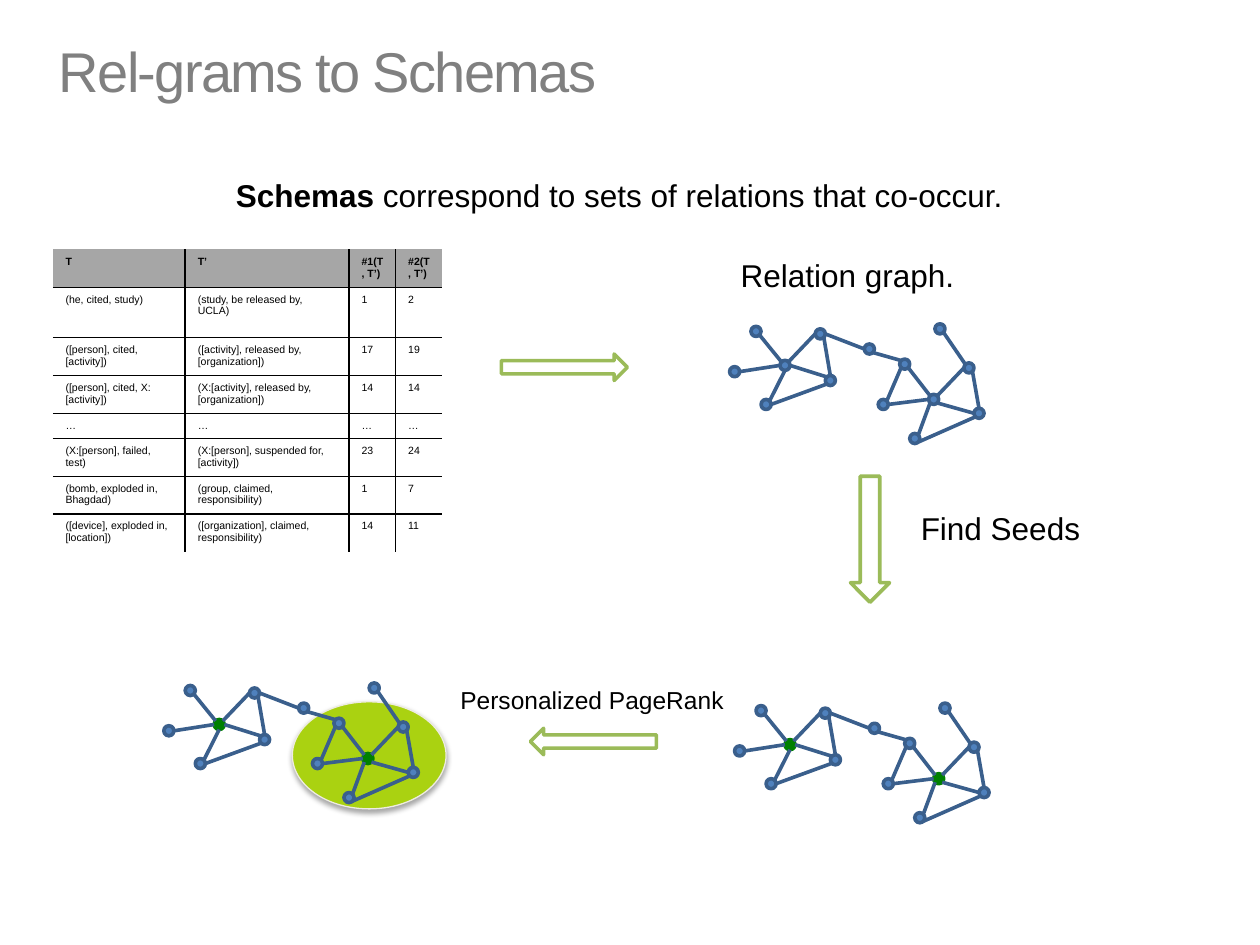
import math
from dataclasses import dataclass
from typing import NamedTuple

from lxml import etree
from pptx import Presentation
from pptx.dml.color import RGBColor
from pptx.enum import shapes, text
from pptx.oxml import parse_xml
from pptx.oxml.ns import nsdecls, qn
from pptx.util import Inches, Pt

BLACK = RGBColor(0x00, 0x00, 0x00)
WHITE = RGBColor(0xFF, 0xFF, 0xFF)
TITLE_GRAY = RGBColor(0x80, 0x80, 0x80)
HEADER_GRAY = RGBColor(0xA6, 0xA6, 0xA6)
NODE_BLUE = RGBColor(0x4F, 0x81, 0xBD)
EDGE_BLUE = RGBColor(0x3A, 0x5F, 0x8C)
SEED_GREEN = RGBColor(0x00, 0x80, 0x00)
ARROW_GREEN = RGBColor(0x9B, 0xBB, 0x59)
CLUSTER_LIME = RGBColor(0xAA, 0xD2, 0x11)
CLUSTER_EDGE = RGBColor(0xEE, 0xEC, 0xE1)

FONT = "Arial"
LINE_WIDTH = Pt(2.08)
NODE_SIZE = 0.08


class Box(NamedTuple):
    left: float
    top: float
    width: float
    height: float

    def lengths(self):
        return [Inches(value) for value in self]


@dataclass
class Label:
    box: Box
    runs: list[str]
    size: float
    color: RGBColor = BLACK
    align: text.PP_ALIGN = text.PP_ALIGN.LEFT
    anchor: text.MSO_ANCHOR = text.MSO_ANCHOR.TOP
    spacing: int = 0
    bold_first: bool = False


@dataclass
class Arrow:
    kind: shapes.MSO_SHAPE
    box: Box


@dataclass
class Graph:
    left: float
    top: float
    seeds: tuple[int, ...] = ()
    cluster: Box | None = None


class Edge(NamedTuple):
    """Two node numbers, each with the compass side where the edge touches it."""
    start: int
    start_side: str
    end: int
    end_side: str


LABELS = [
    Label(Box(0.37, 0.02, 9.3, 1.08), ["Rel-grams to Schemas"], 32, TITLE_GRAY,
          anchor=text.MSO_ANCHOR.MIDDLE, spacing=-100),
    Label(Box(0.37, 1.35, 9.09, 0.4),
          ["Schemas", " correspond to sets of relations that co-occur."], 18,
          align=text.PP_ALIGN.CENTER, bold_first=True),
    Label(Box(5.78, 1.98, 2.24, 0.4), ["Relation graph."], 18),
    Label(Box(7.21, 3.99, 1.97, 0.4), ["Find Seeds"], 18),
    Label(Box(3.13, 5.39, 3.14, 0.34), ["Personalized PageRank"], 14,
          align=text.PP_ALIGN.CENTER),
]

ARROWS = [
    Arrow(shapes.MSO_SHAPE.RIGHT_ARROW, Box(3.98, 2.81, 1, 0.21)),
    Arrow(shapes.MSO_SHAPE.DOWN_ARROW, Box(6.75, 3.78, 0.31, 1)),
    Arrow(shapes.MSO_SHAPE.LEFT_ARROW, Box(4.21, 5.78, 1, 0.21)),
]

GRAPHS = [
    Graph(5.79, 2.57),
    Graph(5.83, 5.58, seeds=(2, 10)),
    Graph(1.3, 5.42, seeds=(2, 10), cluster=Box(2.32, 5.57, 1.22, 0.85)),
]

# Node corners relative to the graph's top left corner
NODES = [(0.17, 0.02), (0, 0.34), (0.4, 0.29), (0.68, 0.04), (0.76, 0.41),
         (1.07, 0.16), (0.25, 0.6), (1.63, 0), (1.35, 0.28), (1.18, 0.6),
         (1.58, 0.56), (1.86, 0.31), (1.94, 0.67), (1.43, 0.87)]
EDGES = [
    Edge(2, "NW", 0, "SE"), Edge(1, "E", 2, "W"), Edge(6, "NE", 2, "S"),
    Edge(2, "NE", 3, "W"), Edge(2, "E", 4, "NW"), Edge(3, "E", 5, "W"),
    Edge(9, "NE", 8, "SW"), Edge(9, "E", 10, "W"), Edge(13, "NE", 10, "SW"),
    Edge(10, "NE", 11, "W"), Edge(5, "SE", 8, "NW"), Edge(6, "E", 4, "SW"),
    Edge(3, "SE", 4, "N"), Edge(8, "SE", 10, "NW"), Edge(10, "SE", 12, "W"),
    Edge(13, "SE", 12, "SW"), Edge(7, "SE", 11, "NW"), Edge(11, "SE", 12, "N"),
]
SIDES = ["E", "SE", "S", "SW", "W", "NW", "N", "NE"]

TABLE_BOX = Box(0.42, 1.98, 3.09, 2.4)
COLUMN_WIDTHS = [1.05, 1.3, 0.37, 0.37]
ROW_HEIGHTS = [0.3, 0.4, 0.3, 0.3, 0.2, 0.3, 0.3, 0.3]
ROWS = [
    ("T", "T’", "#1(T, T’)", "#2(T, T’)"),
    ("(he, cited, study)", "(study, be released by, UCLA)", "1", "2"),
    ("([person], cited, [activity])", "([activity], released by, [organization])", "17", "19"),
    ("([person], cited, X:[activity])", "(X:[activity], released by, [organization])", "14", "14"),
    ("…", "…", "…", "…"),
    ("(X:[person], failed, test)", "(X:[person], suspended for, [activity])", "23", "24"),
    ("(bomb, exploded in, Bhagdad)", "(group, claimed, responsibility)", "1", "7"),
    ("([device], exploded in, [location])", "([organization], claimed, responsibility)",
     "14", "11"),
]


def set_font(font, size: float, color: RGBColor) -> None:
    font.name, font.size = FONT, Pt(size)
    font.color.rgb = color


def add_label(slide, label: Label) -> None:
    frame = slide.shapes.add_textbox(*label.box.lengths()).text_frame
    frame.word_wrap = True
    frame.vertical_anchor = label.anchor
    paragraph = frame.paragraphs[0]
    paragraph.alignment = label.align
    set_font(paragraph.font, label.size, label.color)
    for content in label.runs:
        run = paragraph.add_run()
        run.text = content
        if label.spacing:
            run.font._element.set("spc", str(label.spacing))
    if label.bold_first:
        paragraph.runs[0].font.bold = True


def add_outlined(parent, kind, box: Box, fill: RGBColor, line: RGBColor, width=LINE_WIDTH):
    shape = parent.shapes.add_shape(kind, *box.lengths())
    shape.shadow.inherit = False
    shape.fill.solid()
    shape.fill.fore_color.rgb = fill
    shape.line.color.rgb = line
    shape.line.width = width
    return shape


def add_cluster(parent, box: Box) -> None:
    """Draw the highlighted region with a soft shadow below it."""
    shape = add_outlined(parent, shapes.MSO_SHAPE.OVAL, box, CLUSTER_LIME, CLUSTER_EDGE, Pt(0.75))
    shape._element.spPr.find(qn("a:effectLst")).append(parse_xml(
        f'<a:outerShdw {nsdecls("a")} blurRad="{Pt(3.1)}" dist="{Pt(1.8)}" dir="5400000" '
        'rotWithShape="0"><a:srgbClr val="000000"><a:alpha val="35000"/></a:srgbClr>'
        '</a:outerShdw>'))


def touch_point(graph: Graph, node: int, side: str):
    angle = SIDES.index(side) * math.pi / 4
    radius = NODE_SIZE / 2
    x, y = NODES[node]
    return (Inches(graph.left + x + radius * (1 + math.cos(angle))),
            Inches(graph.top + y + radius * (1 + math.sin(angle))))


def add_graph(slide, graph: Graph) -> None:
    group = slide.shapes.add_group_shape()
    if graph.cluster:
        add_cluster(group, graph.cluster)
    for number, (x, y) in enumerate(NODES):
        fill, line = (SEED_GREEN, SEED_GREEN) if number in graph.seeds else (NODE_BLUE, EDGE_BLUE)
        box = Box(graph.left + x, graph.top + y, NODE_SIZE, NODE_SIZE)
        add_outlined(group, shapes.MSO_SHAPE.OVAL, box, fill, line)
    for edge in EDGES:
        connector = group.shapes.add_connector(
            shapes.MSO_CONNECTOR.STRAIGHT,
            *touch_point(graph, edge.start, edge.start_side),
            *touch_point(graph, edge.end, edge.end_side))
        connector.line.color.rgb = EDGE_BLUE
        connector.line.width = LINE_WIDTH
        etree.SubElement(connector._element.spPr, qn("a:effectLst"))


def add_inner_borders(cell, row: int, column: int) -> None:
    """Rule only the sides that face another cell."""
    inner = {"L": column > 0, "R": column < len(COLUMN_WIDTHS) - 1,
             "T": row > 0, "B": row < len(ROWS) - 1}
    for side, ruled in inner.items():
        paint = '<a:solidFill><a:srgbClr val="000000"/></a:solidFill>' if ruled else "<a:noFill/>"
        cell._tc.get_or_add_tcPr().append(parse_xml(
            f'<a:ln{side} {nsdecls("a")} w="{Pt(1)}">{paint}</a:ln{side}>'))


def add_relation_table(slide) -> None:
    table = slide.shapes.add_table(len(ROWS), len(COLUMN_WIDTHS), *TABLE_BOX.lengths()).table
    table.first_row = table.horz_banding = False
    for column, width in zip(table.columns, COLUMN_WIDTHS):
        column.width = Inches(width)
    for r, (values, height) in enumerate(zip(ROWS, ROW_HEIGHTS)):
        table.rows[r].height = Inches(height)
        for c, value in enumerate(values):
            cell = table.cell(r, c)
            add_inner_borders(cell, r, c)
            cell.text = value
            font = cell.text_frame.paragraphs[0].font
            set_font(font, 6, BLACK)
            font.bold = r == 0
            if r == 0:
                cell.fill.solid()
                cell.fill.fore_color.rgb = HEADER_GRAY
            else:
                cell.fill.background()


def main() -> None:
    presentation = Presentation()
    presentation.slide_width, presentation.slide_height = Inches(10), Inches(7.5)
    slide = presentation.slides.add_slide(presentation.slide_layouts[6])
    for graph in GRAPHS:
        add_graph(slide, graph)
    add_relation_table(slide)
    for arrow in ARROWS:
        add_outlined(slide, arrow.kind, arrow.box, WHITE, ARROW_GREEN)
    for label in LABELS:
        add_label(slide, label)
    presentation.save("out.pptx")


if __name__ == "__main__":
    main()
